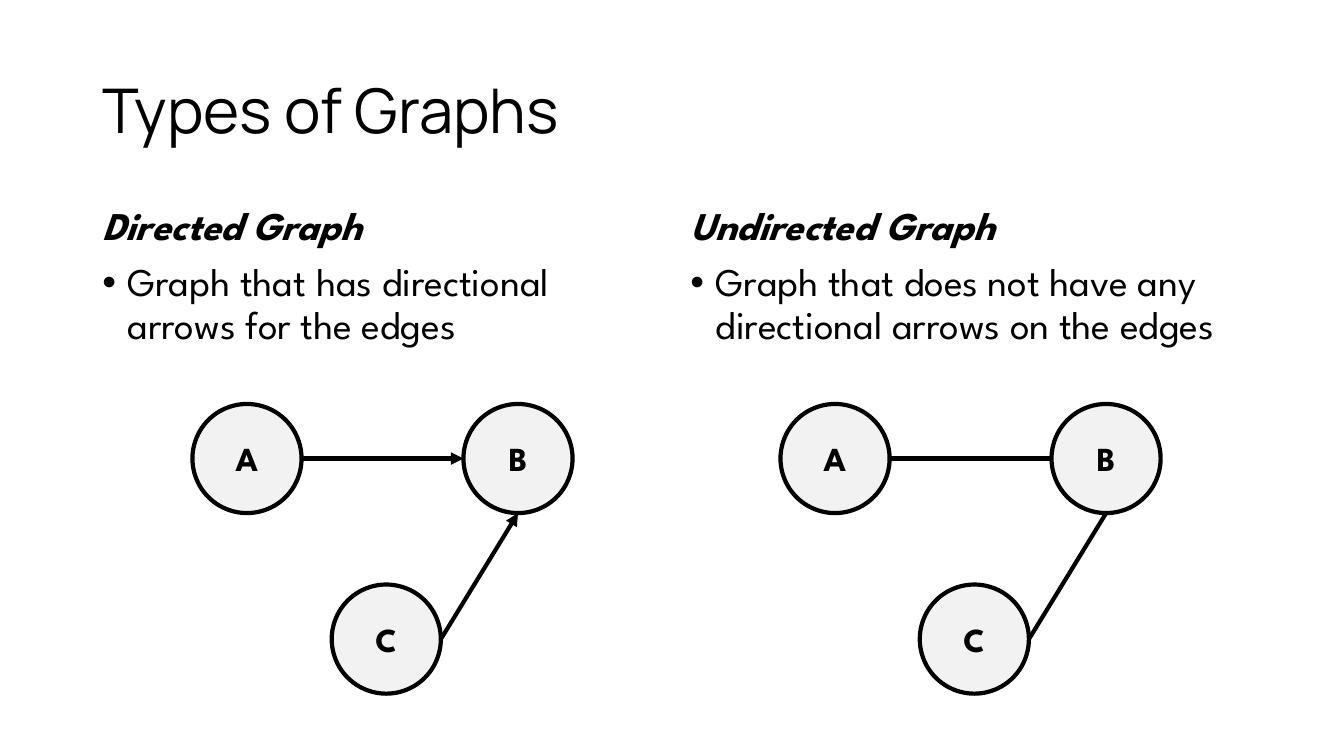
from dataclasses import dataclass

from lxml import etree
from pptx import Presentation
from pptx.dml.color import RGBColor
from pptx.enum.shapes import MSO_CONNECTOR, MSO_SHAPE
from pptx.enum.text import MSO_ANCHOR, PP_ALIGN
from pptx.oxml.ns import qn
from pptx.util import Cm, Pt

OVAL = MSO_SHAPE.OVAL
STRAIGHT = MSO_CONNECTOR.STRAIGHT
MIDDLE, TOP = MSO_ANCHOR.MIDDLE, MSO_ANCHOR.TOP
LEFT, CENTER = PP_ALIGN.LEFT, PP_ALIGN.CENTER


@dataclass(frozen=True)
class Theme:
    ink: RGBColor = RGBColor(0, 0, 0)
    node_fill: RGBColor = RGBColor(0xF2, 0xF2, 0xF2)
    title_font: str = "Manrope"
    body_font: str = "League Spartan"
    title_size: int = 44
    body_size: int = 28
    node_size: int = 24
    line_width: int = 3


MARGIN = 2.33
COLUMN_WIDTH = 14.4
COLUMN_PITCH = 14.82
BODY_TOP = 5.08
DIAMETER = 2.75
INDENT = 0.64

# Top-left corner of each node, measured from the column's left edge and the page top
NODES = {"A": (2.52, 10.18), "C": (6.03, 14.73), "B": (9.35, 10.18)}
# Start node and side, end node and side
EDGES = [("A", "right", "B", "left"), ("C", "right", "B", "bottom")]
SIDES = {"left": (0, 0.5), "right": (1, 0.5), "bottom": (0.5, 1)}

COLUMNS = [
    ("Directed Graph", "Graph that has directional arrows for the edges", True),
    ("Undirected Graph",
     "Graph that does not have any directional arrows on the edges", False),
]


class GraphPage:
    def __init__(self, page, theme):
        self.page = page
        self.theme = theme

    def add_text(self, para, text, font, size, bold=False, italic=False, align=LEFT):
        para.alignment = align
        span = para.add_run()
        span.text = text
        span.font.name = font
        span.font.size = Pt(size)
        span.font.bold = bold
        span.font.italic = italic
        span.font.color.rgb = self.theme.ink

    def text_box(self, left, top, width, height, anchor=TOP):
        box = self.page.shapes.add_textbox(Cm(left), Cm(top), Cm(width), Cm(height))
        frame = box.text_frame
        frame.word_wrap = True
        frame.vertical_anchor = anchor
        frame.paragraphs[0].line_spacing = 0.9
        return frame

    def title(self, text):
        frame = self.text_box(MARGIN, 1.01, 29.21, 3.68, MIDDLE)
        self.add_text(frame.paragraphs[0], text, self.theme.title_font,
                      self.theme.title_size)

    def description(self, left, heading, text):
        theme = self.theme
        frame = self.text_box(left, BODY_TOP, COLUMN_WIDTH, 5.1)
        self.add_text(frame.paragraphs[0], heading, theme.body_font, theme.body_size,
                      bold=True, italic=True)
        para = frame.add_paragraph()
        para.line_spacing = 0.9
        para.space_before = Pt(10)
        self.bullet(para)
        self.add_text(para, text, theme.body_font, theme.body_size)

    def bullet(self, para):
        properties = para._p.get_or_add_pPr()
        properties.set("marL", str(Cm(INDENT)))
        properties.set("indent", str(-Cm(INDENT)))
        etree.SubElement(properties, qn("a:buFont")).set("typeface", "Arial")
        etree.SubElement(properties, qn("a:buChar")).set("char", "•")

    def node(self, label, left, top):
        theme = self.theme
        circle = self.page.shapes.add_shape(
            OVAL, Cm(left), Cm(top), Cm(DIAMETER), Cm(DIAMETER))
        circle.shadow.inherit = False
        circle.fill.solid()
        circle.fill.fore_color.rgb = theme.node_fill
        circle.line.color.rgb = theme.ink
        circle.line.width = Pt(theme.line_width)
        circle.text_frame.vertical_anchor = MIDDLE
        self.add_text(circle.text_frame.paragraphs[0], label, theme.body_font,
                      theme.node_size, bold=True, align=CENTER)

    def edge(self, start, end, arrow):
        line = self.page.shapes.add_connector(STRAIGHT, *map(Cm, start + end))
        line.line.color.rgb = self.theme.ink
        line.line.width = Pt(self.theme.line_width)
        etree.SubElement(line._element.spPr, qn("a:effectLst"))
        if arrow:
            outline = line.line._get_or_add_ln()
            etree.SubElement(outline, qn("a:tailEnd")).set("type", "triangle")

    def graph(self, left, directed):
        corners = {name: (left + x, y) for name, (x, y) in NODES.items()}

        def anchor(name, side):
            return tuple(corner + DIAMETER * share
                         for corner, share in zip(corners[name], SIDES[side]))

        for name, corner in corners.items():
            self.node(name, *corner)
        for start, start_side, end, end_side in EDGES:
            self.edge(anchor(start, start_side), anchor(end, end_side), directed)


def main():
    deck = Presentation()
    deck.slide_width, deck.slide_height = Cm(33.87), Cm(19.05)
    graphs = GraphPage(deck.slides.add_slide(deck.slide_layouts[6]), Theme())
    graphs.title("Types of Graphs")
    for index, (heading, text, directed) in enumerate(COLUMNS):
        left = MARGIN + index * COLUMN_PITCH
        graphs.description(left, heading, text)
        graphs.graph(left, directed)
    deck.save("out.pptx")


if __name__ == "__main__":
    main()
